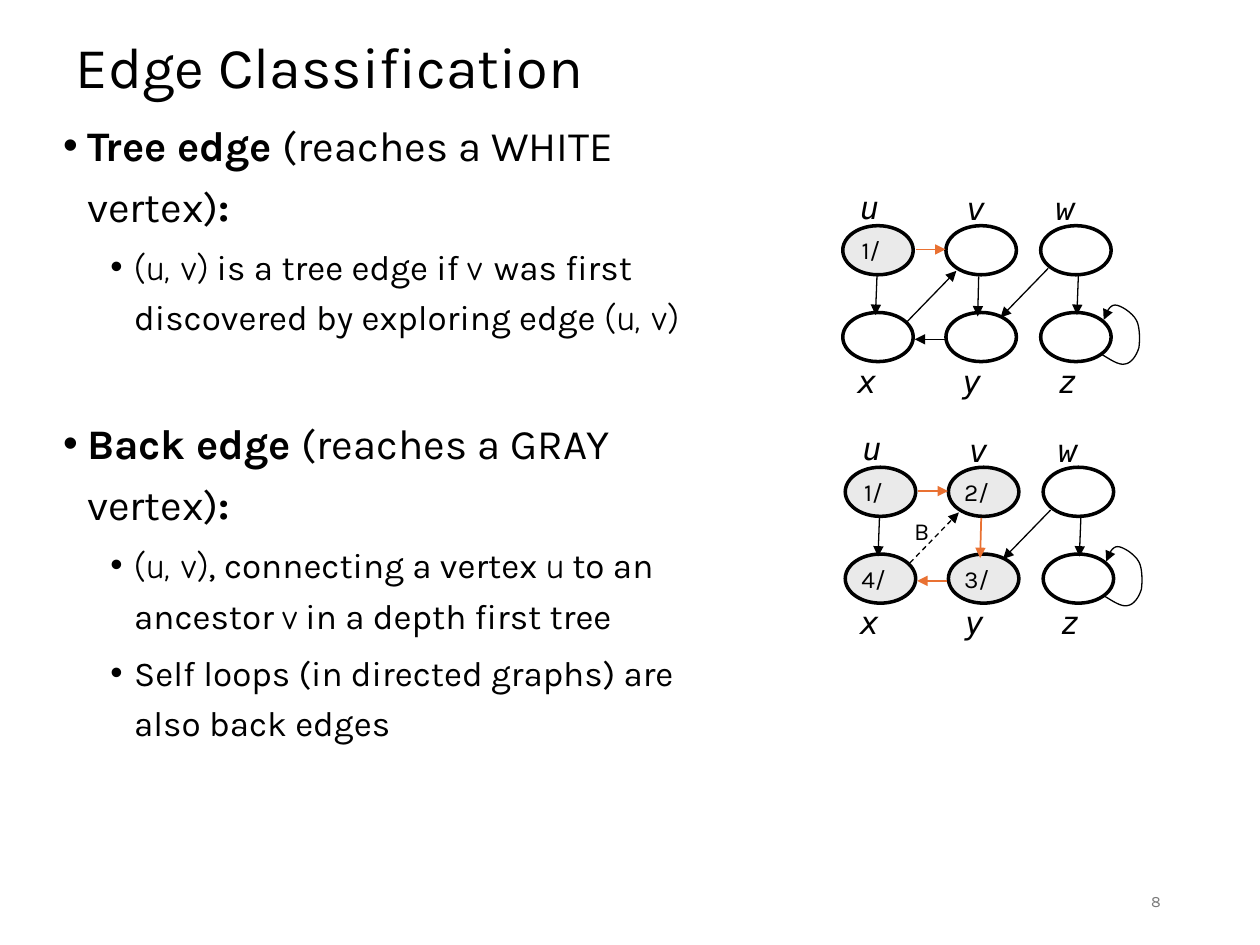
from lxml.etree import SubElement
from pptx import Presentation
from pptx.dml.color import RGBColor
from pptx.enum.dml import MSO_LINE
from pptx.enum.shapes import MSO_CONNECTOR, MSO_SHAPE
from pptx.enum.text import MSO_ANCHOR, MSO_AUTO_SIZE, PP_ALIGN
from pptx.oxml.ns import qn
from pptx.util import Cm, Pt

COLORS = {"black": "000000", "visited": "EAEAEA", "tree": "E97132", "number": "797979"}
TEXT, VARIABLE, VERTEX = "Karla", "Comic Neue", "DejaVu Sans Mono"

# Graph measures in cm, from the top left corner of vertex u
VERTEX_SIZE = (1.42, 0.99)
COLUMNS = (0, 2.08, 3.99)
ROWS = (0, 1.75)
VERTICES = {name: (COLUMNS[i % 3], ROWS[i // 3]) for i, name in enumerate("uvwxyz")}
LABELS = {"u": (0.1, -0.89), "v": (2.24, -0.86), "w": (4.04, -0.86),
          "x": (0.05, 2.62), "y": (2.16, 2.62), "z": (4.09, 2.62)}
EDGES = {
    "ux": ((0.69, 0.99), (0.66, 1.8)),
    "vy": ((2.74, 1.02), (2.72, 1.83)),
    "wz": ((4.75, 0.99), (4.72, 1.8)),
    "uv": ((1.47, 0.48), (2.07, 0.48)),
    "yx": ((2.06, 2.29), (1.45, 2.29)),
    "wy": ((4.14, 0.86), (3.18, 1.85)),
    "xv": ((1.3, 1.93), (2.29, 0.91)),
}
LOOP = [(5.21, 2.59), (5.38, 2.69), (5.56, 2.82), (5.69, 2.79),
        (5.82, 2.77), (5.92, 2.62), (5.97, 2.46),
        (5.99, 2.31), (5.99, 2.03), (5.92, 1.91),
        (5.84, 1.75), (5.59, 1.6), (5.49, 1.6),
        (5.38, 1.6), (5.31, 1.75), (5.26, 1.9)]

# Level, space before in points, runs of (text, font, bold)
BODY = [
    (0, 7.5, [("Tree edge ", TEXT, True), ("(reaches a WHITE vertex)", TEXT, False),
              (":", TEXT, True)]),
    (1, 3.8, [("(u, v)", VARIABLE, False), (" is a tree edge if ", TEXT, False),
              ("v ", VARIABLE, False),
              ("was first discovered by exploring edge ", TEXT, False),
              ("(u, v)", VARIABLE, False)]),
    (0, 40, [("Back edge ", TEXT, True), ("(reaches a GRAY vertex)", TEXT, False),
             (":", TEXT, True)]),
    (1, 3.8, [("(u, v)", VARIABLE, False), (", connecting a vertex ", TEXT, False),
              ("u", VARIABLE, False), (" to an ancestor ", TEXT, False),
              ("v", VARIABLE, False), (" in a depth first tree", TEXT, False)]),
    (1, 3.8, [("Self loops (in directed graphs) are also back edges", TEXT, False)]),
]


def rgb(name):
    return RGBColor.from_string(COLORS[name])


def apply(target, formats):
    for name, value in formats.items():
        setattr(target, name, value)


def place(shape, left, top, width, height):
    apply(shape, {"left": Cm(left), "top": Cm(top), "width": Cm(width), "height": Cm(height)})


def add_run(paragraph, text, size, color="black", **formats):
    run = paragraph.add_run()
    run.text = text
    apply(run.font, {"name": TEXT, "size": Pt(size), **formats})
    run.font.color.rgb = rgb(color)


def add_text(shapes, text, box, size, color="black", frame=None, align=PP_ALIGN.LEFT, **formats):
    text_frame = shapes.add_textbox(*map(Cm, box)).text_frame
    apply(text_frame, frame or {"word_wrap": False})
    paragraph = text_frame.paragraphs[0]
    paragraph.alignment = align
    add_run(paragraph, text, size, color, **formats)


def fill_title(title):
    place(title, 1.27, -0.18, 22.86, 3.18)
    title.text_frame.vertical_anchor = MSO_ANCHOR.MIDDLE
    paragraph = title.text_frame.paragraphs[0]
    apply(paragraph, {"alignment": PP_ALIGN.LEFT, "line_spacing": 0.9})
    add_run(paragraph, "Edge Classification", 33)


def add_bullet(paragraph, left):
    properties = paragraph._p.get_or_add_pPr()
    properties.set("marL", str(Cm(left)))
    properties.set("indent", str(Cm(-0.48)))
    SubElement(properties, qn("a:buFont")).set("typeface", "Arial")
    SubElement(properties, qn("a:buChar")).set("char", "•")


def fill_body(body):
    place(body, 1.02, 2.08, 14.02, 14.88)
    text_frame = body.text_frame
    text_frame.auto_size = MSO_AUTO_SIZE.NONE
    for index, (level, space, runs) in enumerate(BODY):
        paragraph = text_frame.add_paragraph() if index else text_frame.paragraphs[0]
        apply(paragraph, {"level": level, "line_spacing": 1.2,
                          "space_before": Pt(space), "space_after": Pt(0)})
        add_bullet(paragraph, (0.48, 1.43)[level])
        for text, font, bold in runs:
            add_run(paragraph, text, (24, 20)[level], name=font, bold=bold)


def style_arrow(shape, color="black", width=0.75, dash=None):
    line = shape.line
    line.color.rgb = rgb(color)
    apply(line, {"width": Pt(width), "dash_style": dash})
    SubElement(line._get_or_add_ln(), qn("a:tailEnd")).set("type", "triangle")


def add_edge(shapes, start, end, **style):
    connector = shapes.add_connector(MSO_CONNECTOR.STRAIGHT, *map(Cm, start + end))
    style_arrow(connector, **style)
    SubElement(connector._element.spPr, qn("a:effectLst"))


def add_vertex(shapes, left, top, time):
    ellipse = shapes.add_shape(MSO_SHAPE.OVAL, Cm(left), Cm(top), *map(Cm, VERTEX_SIZE))
    ellipse.shadow.inherit = False
    ellipse.line.color.rgb = rgb("black")
    ellipse.line.width = Pt(2)
    if not time:
        ellipse.fill.background()
        return
    ellipse.fill.solid()
    ellipse.fill.fore_color.rgb = rgb("visited")
    # The wider right margin leaves room for a finishing time
    apply(ellipse.text_frame, {"word_wrap": False, "vertical_anchor": MSO_ANCHOR.MIDDLE,
                               "margin_left": 0, "margin_right": Cm(0.28)})
    paragraph = ellipse.text_frame.paragraphs[0]
    paragraph.alignment = PP_ALIGN.CENTER
    add_run(paragraph, time, 14)


def curve_points(controls, steps=8):
    """Points along a chain of cubic Bézier curves."""
    points = [controls[0]]
    for first in range(0, len(controls) - 1, 3):
        a, b, c, d = controls[first:first + 4]
        for step in range(1, steps + 1):
            t = step / steps
            weights = ((1 - t) ** 3, 3 * t * (1 - t) ** 2, 3 * t * t * (1 - t), t ** 3)
            points.append(tuple(sum(w * p[axis] for w, p in zip(weights, (a, b, c, d)))
                                for axis in (0, 1)))
    return points


def add_self_loop(shapes, controls):
    points = [(Cm(x), Cm(y)) for x, y in curve_points(controls)]
    builder = shapes.build_freeform(*points[0])
    builder.add_line_segments(points[1:], close=False)
    loop = builder.convert_to_shape()
    loop.shadow.inherit = False
    loop.fill.background()
    style_arrow(loop)


def add_graph(slide, origin, times, tree_edges, back_edge=None):
    shapes = slide.shapes.add_group_shape().shapes

    def at(point):
        return origin[0] + point[0], origin[1] + point[1]

    for name, corner in VERTICES.items():
        add_vertex(shapes, *at(corner), times.get(name))
    for name, corner in LABELS.items():
        add_text(shapes, name, (*at(corner), 0.8, 1.02), 18, name=VERTEX, italic=True)
    for name, (start, end) in EDGES.items():
        style = {"color": "tree", "width": 1} if name in tree_edges else {}
        if name == back_edge:
            style = {"dash": MSO_LINE.DASH}
        add_edge(shapes, at(start), at(end), **style)
    add_self_loop(shapes, [at(point) for point in LOOP])
    if back_edge:
        add_text(shapes, "B", (*at((1.14, 0.86)), 0.84, 0.84), 14)


def main():
    presentation = Presentation()
    apply(presentation, {"slide_width": Cm(25.4), "slide_height": Cm(19.05)})
    slide = presentation.slides.add_slide(presentation.slide_layouts[1])
    fill_title(slide.shapes.title)
    fill_body(slide.placeholders[1])
    add_text(slide.shapes, "8", (17.93, 17.65, 5.72, 1.02), 9, "number",
             {"word_wrap": True, "vertical_anchor": MSO_ANCHOR.MIDDLE}, PP_ALIGN.RIGHT)
    add_graph(slide, (16.99, 4.55), {"u": "1/"}, {"uv"})
    add_graph(slide, (17.04, 9.42), {"u": "1/", "v": "2/", "x": "4/", "y": "3/"},
              {"uv", "vy", "yx"}, back_edge="xv")
    presentation.save("out.pptx")


if __name__ == "__main__":
    main()
